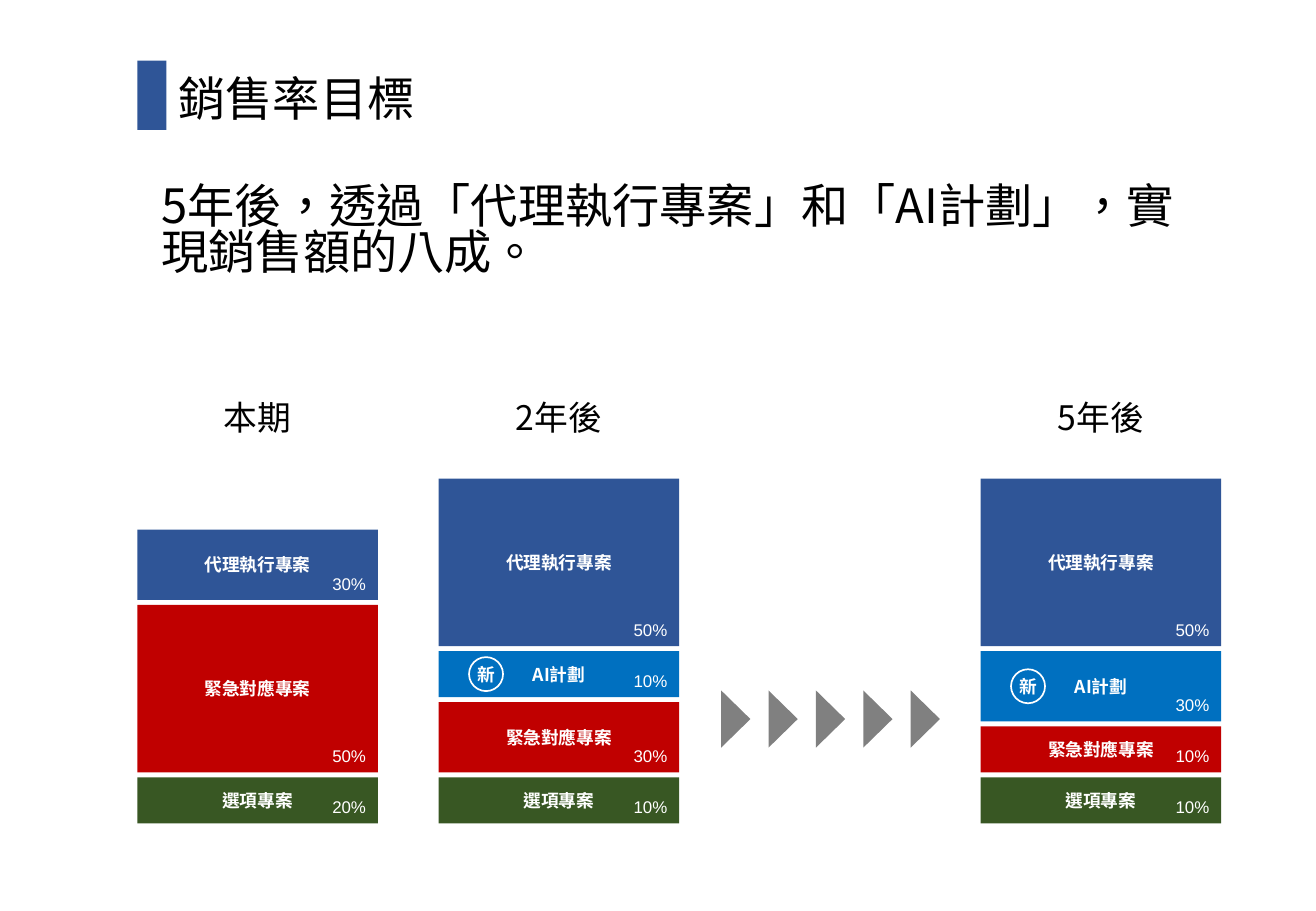
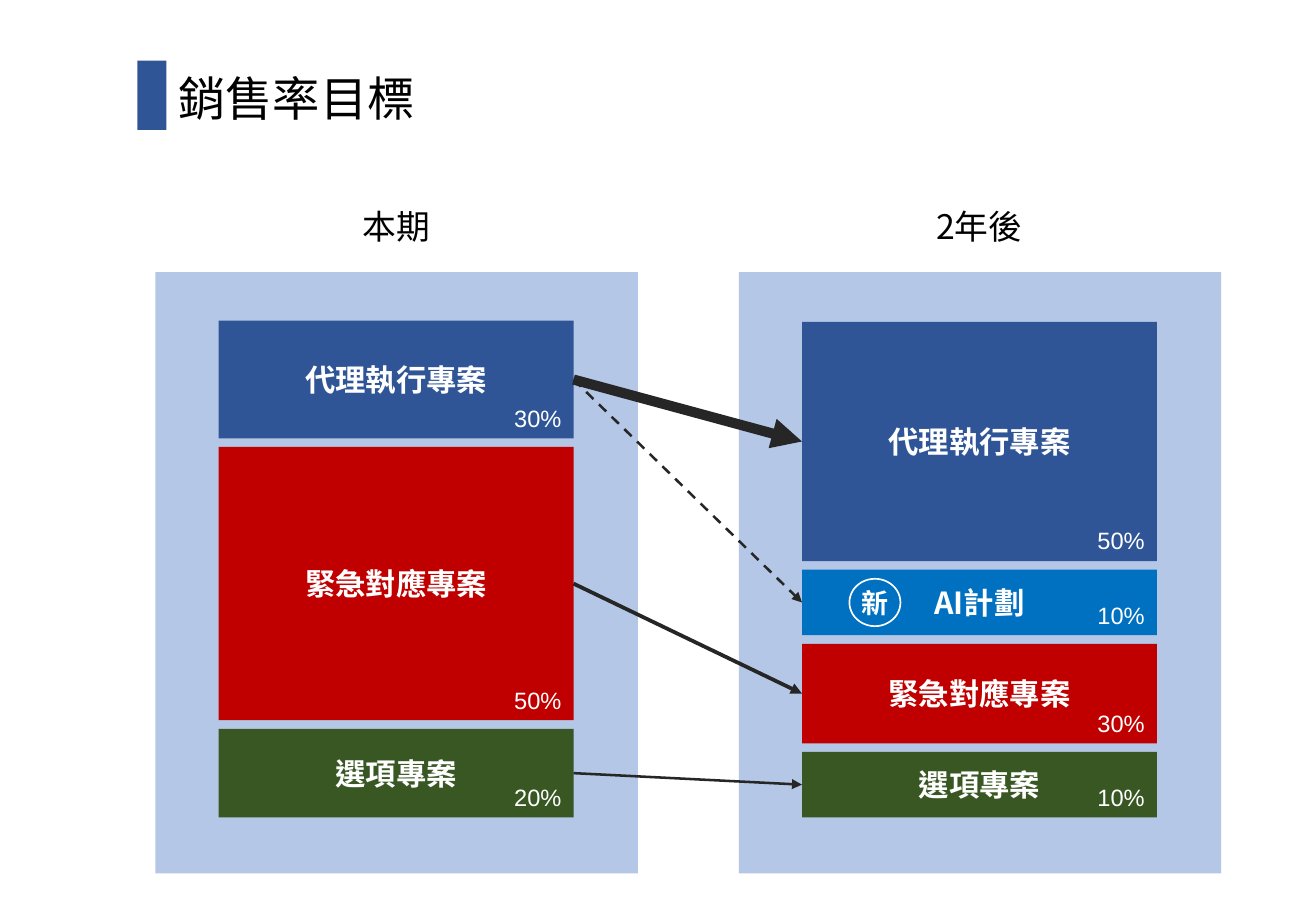
from lxml import etree
from pptx import Presentation
from pptx import util as u
from pptx.dml.color import RGBColor
from pptx.enum import dml, shapes, text
from pptx.oxml.ns import qn

Inches = u.Inches
CJK, LATIN = "Noto Sans CJK SC", "Arial"
BLUE, RED, GREEN, AZURE = "2F5597", "C00000", "385723", "0070C0"
WHITE, BLACK, GRAY, PALE, DARK = "FFFFFF", "000000", "808080", "B4C7E7", "262626"
LEFT, CENTER, RIGHT = text.PP_ALIGN.LEFT, text.PP_ALIGN.CENTER, text.PP_ALIGN.RIGHT


def write(sp, words, size, color=WHITE, align=CENTER, bold=False, font=CJK, inset=0.1):
    tf = sp.text_frame
    frame = {"word_wrap": True, "auto_size": text.MSO_AUTO_SIZE.NONE,
             "vertical_anchor": text.MSO_ANCHOR.MIDDLE,
             "margin_left": Inches(inset), "margin_right": Inches(inset),
             "margin_top": 0, "margin_bottom": 0}
    for name, value in frame.items():
        setattr(tf, name, value)
    p = tf.paragraphs[0]
    p.alignment = align
    r = p.add_run()
    r.text = words
    for name, value in {"size": u.Pt(size), "bold": bold, "name": font}.items():
        setattr(r.font, name, value)
    r.font.color.rgb = RGBColor.from_string(color)
    rPr = r._r.get_or_add_rPr()
    rPr.set("lang", "zh-TW")
    ea = etree.Element(qn("a:ea"), typeface=font)
    rPr.find(qn("a:latin")).addnext(ea)
    return p


def add_box(sl, at, fill=None, line=None, kind=shapes.MSO_SHAPE.RECTANGLE):
    sp = sl.shapes.add_shape(kind, *map(Inches, at))
    sp.shadow.inherit = False
    if fill:
        sp.fill.solid()
        sp.fill.fore_color.rgb = RGBColor.from_string(fill)
    else:
        sp.fill.background()
    if line:
        sp.line.color.rgb = RGBColor.from_string(line)
        sp.line.width = u.Pt(1)
    else:
        sp.line.fill.background()
    return sp


prs = Presentation()
prs.slide_width, prs.slide_height = Inches(10.83), Inches(7.5)

# Shared title and blue band
slides = []
for layout in (1, 5):
    sl = prs.slides.add_slide(prs.slide_layouts[layout])
    title = sl.shapes.title
    title.left, title.top, title.width, title.height = map(Inches, (1.37, 0.52, 8.37, 0.57))
    write(title, "銷售率目標", 28, BLACK, LEFT)
    add_box(sl, (1.13, 0.5, 0.24, 0.57), BLUE)
    slides.append(sl)
goal, shift = slides

# Goal statement
body = goal.placeholders[1]
body.left, body.top, body.width, body.height = map(Inches, (1.23, 1.48, 8.82, 1.04))
p = write(body, "5年後，透過「代理執行專案」和「AI計劃」，實現銷售額的八成。", 28, BLACK, LEFT)
body.text_frame.vertical_anchor = text.MSO_ANCHOR.TOP
body.text_frame.margin_top = Inches(0.05)
p.line_spacing, p.space_before = 0.82, u.Pt(0)
pPr = p._p.get_or_add_pPr()
pPr.set("marL", "0")
pPr.set("indent", "0")
etree.SubElement(pPr, qn("a:buNone"))

# Stacked columns: rows run from bottom to top as (name, share, colour, height)
AGENCY, URGENT = "代理執行專案", "緊急對應專案"
OPTION, AI = "選項專案", "AI計劃"
fills = {AGENCY: BLUE, URGENT: RED, OPTION: GREEN, AI: AZURE}
small = {"width": 1.98, "bottom": 6.78, "gap": 0.04, "head": 3.21, "name": 10.5,
         "share": 10, "share_h": 0.27, "new": 10.5, "ring": (0.25, 0.28, 0.28)}
large = {"width": 2.92, "bottom": 6.73, "gap": 0.07, "head": 1.64, "name": 18,
         "share": 14, "share_h": 0.34, "new": 16, "ring": (0.39, 0.42, 0.39)}
columns = [
    (goal, small, 1.13, "本期",
     [(OPTION, 20, 0.38), (URGENT, 50, 1.38), (AGENCY, 30, 0.58)]),
    (goal, small, 3.61, "2年後",
     [(OPTION, 10, 0.38), (URGENT, 30, 0.58), (AI, 10, 0.38), (AGENCY, 50, 1.38)]),
    (goal, small, 8.07, "5年後",
     [(OPTION, 10, 0.38), (URGENT, 10, 0.38), (AI, 30, 0.58), (AGENCY, 50, 1.38)]),
    (shift, large, 1.8, "本期",
     [(OPTION, 20, 0.73), (URGENT, 50, 2.25), (AGENCY, 30, 0.97)]),
    (shift, large, 6.6, "2年後",
     [(OPTION, 10, 0.54), (URGENT, 30, 0.82), (AI, 10, 0.54), (AGENCY, 50, 1.97)]),
]
stacks = []
for sl, f, x, heading, rows in columns:
    w = f["width"]
    if sl is shift:
        add_box(sl, (x - 0.52, 2.24, 3.97, 4.95), PALE)
    tb = sl.shapes.add_textbox(*map(Inches, (x, f["head"], w, 0.44)))
    write(tb, heading, 20, BLACK)
    blocks, bottom = {}, f["bottom"]
    for name, share, h in rows:
        top = bottom - h
        sp = blocks[name] = add_box(sl, (x, top, w, h), fills[name])
        write(sp, name, f["name"], bold=True)
        if name == AI:
            dx, rw, rh = f["ring"]
            ring = add_box(sl, (x + dx, top + (h - rh) / 2, rw, rh), line=WHITE,
                           kind=shapes.MSO_SHAPE.OVAL)
            write(ring, "新", f["new"], bold=True, inset=0)
            ring.text_frame.word_wrap = False
        sh = f["share_h"]
        tb = sl.shapes.add_textbox(*map(Inches, (x + w - 0.74, bottom - sh, 0.74, sh)))
        write(tb, f"{share}%", f["share"], align=RIGHT, font=LATIN)
        bottom = top - f["gap"]
    stacks.append(blocks)

# Triangles leading to year five
for i in range(5):
    sp = add_box(goal, (5.82 + 0.39 * i, 5.8, 0.47, 0.24), GRAY,
                 kind=shapes.MSO_SHAPE.ISOSCELES_TRIANGLE)
    sp.rotation = 90

# Arrows from the present column to the one two years on
now, later = stacks[3:]
for start, end, width, dashed in [(AGENCY, AGENCY, 6, False), (AGENCY, AI, 1.5, True),
                                  (URGENT, URGENT, 2.25, False), (OPTION, OPTION, 1.5, False)]:
    c = shift.shapes.add_connector(shapes.MSO_CONNECTOR.STRAIGHT, 0, 0, 0, 0)
    c.begin_connect(now[start], 3)
    c.end_connect(later[end], 1)
    c.line.color.rgb = RGBColor.from_string(DARK)
    c.line.width = u.Pt(width)
    if dashed:
        c.line.dash_style = dml.MSO_LINE.DASH
    etree.SubElement(c.line._get_or_add_ln(), qn("a:tailEnd"), type="triangle")
    etree.SubElement(c._element.spPr, qn("a:effectLst"))

prs.save("out.pptx")
